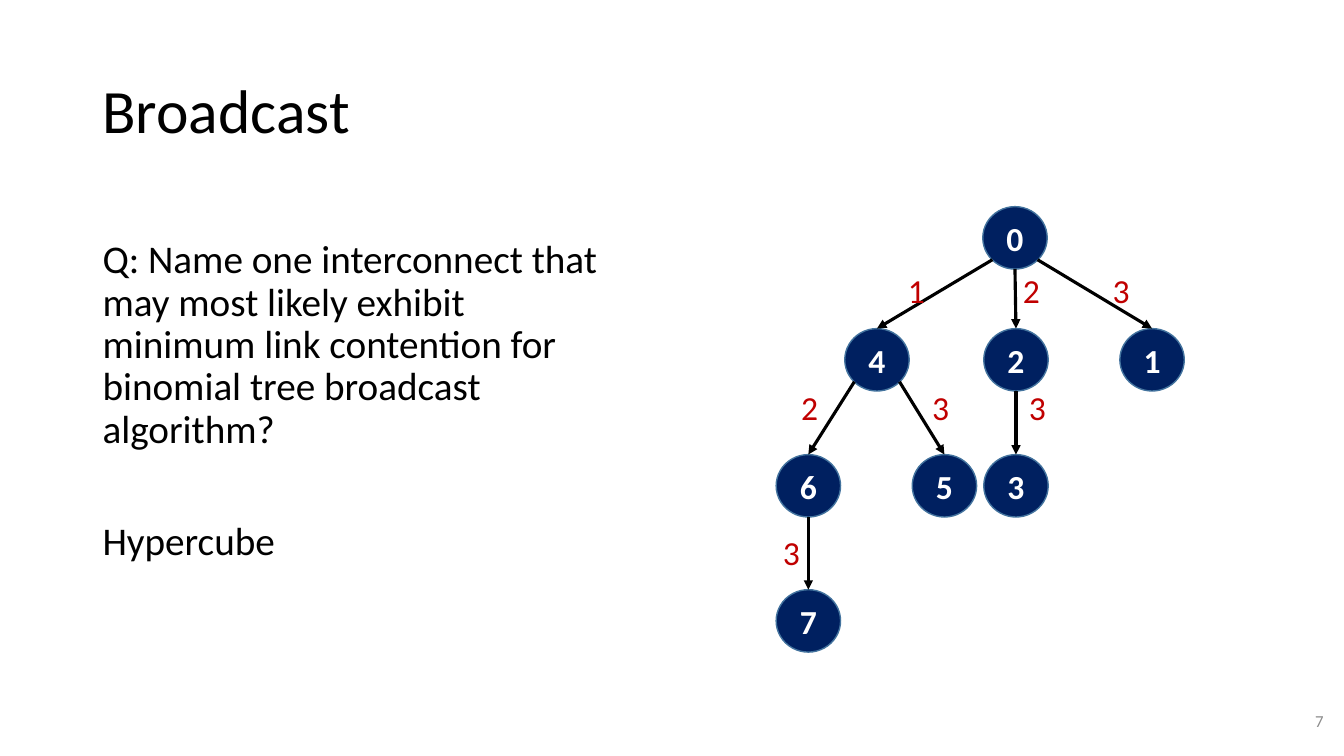
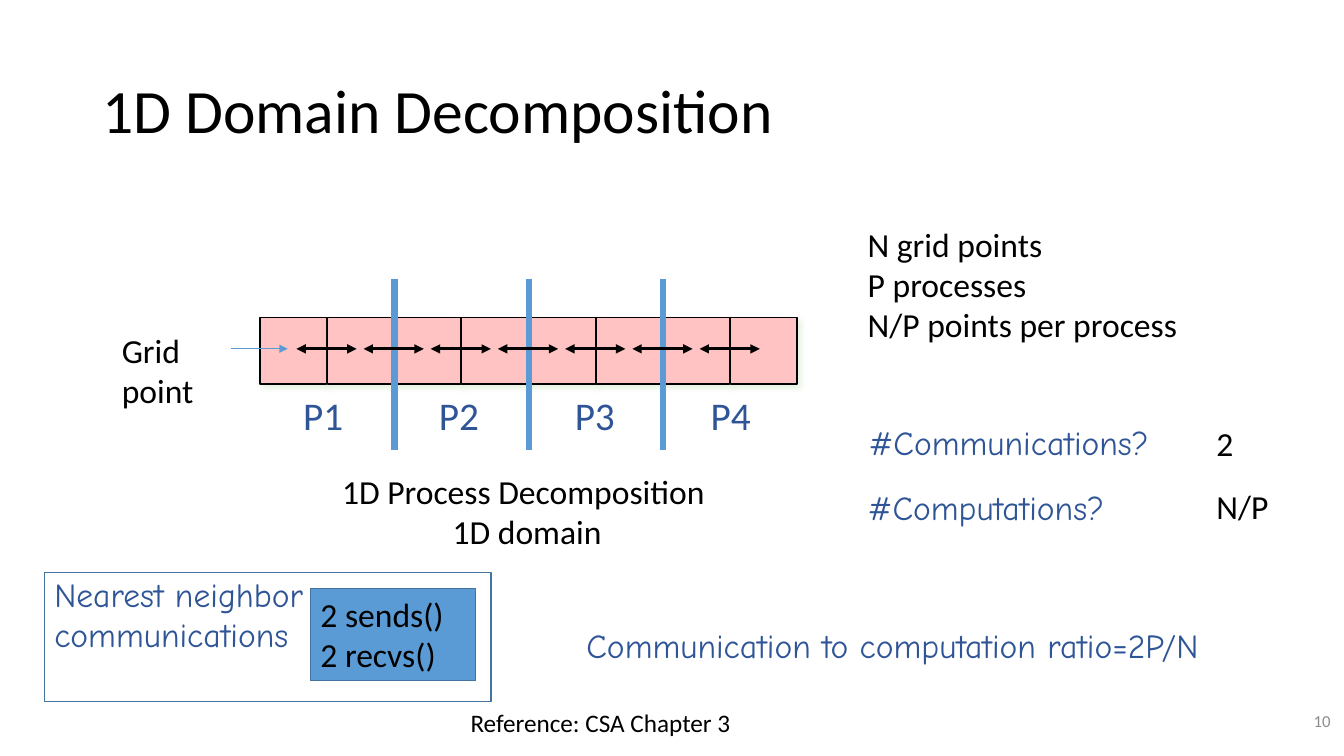
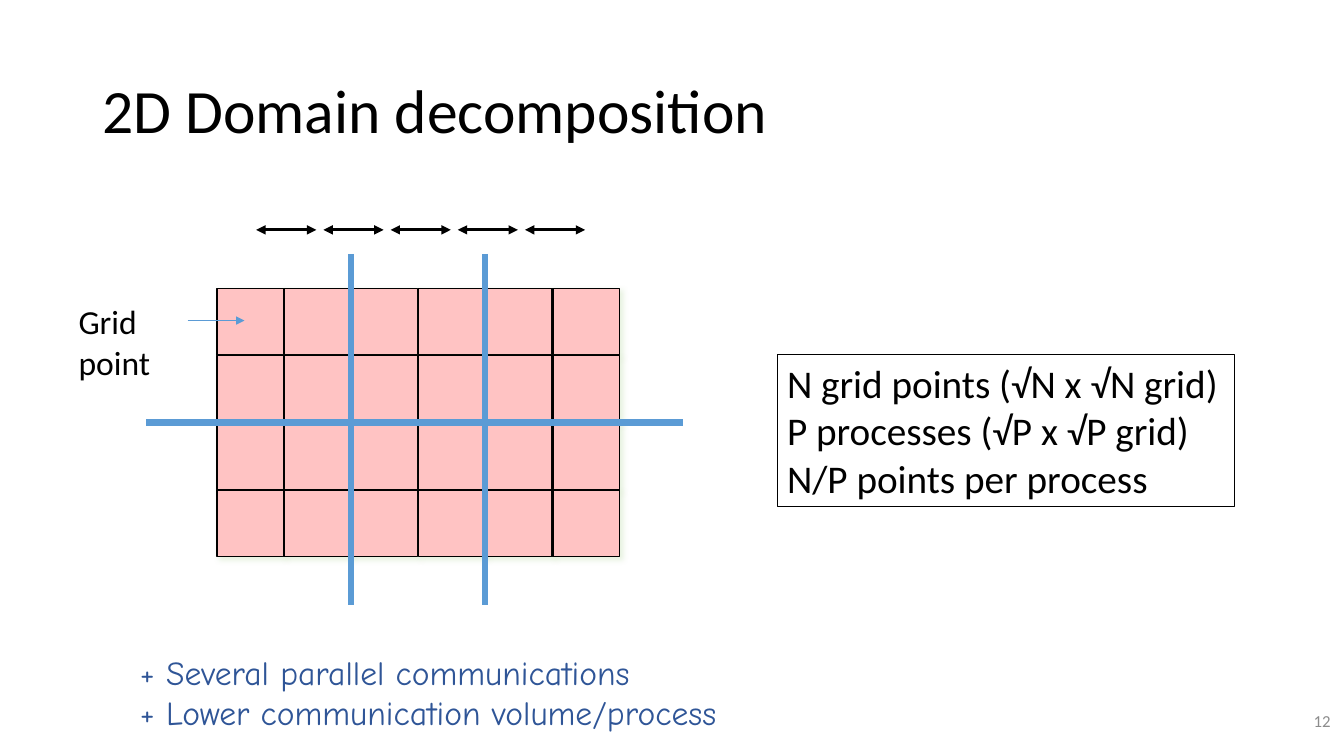
from dataclasses import dataclass
from itertools import product
from typing import NamedTuple, Optional

from lxml.etree import SubElement
from pptx import Presentation
from pptx.dml.color import RGBColor
from pptx.enum.shapes import MSO_CONNECTOR, MSO_SHAPE
from pptx.enum.text import MSO_ANCHOR, MSO_AUTO_SIZE, PP_ALIGN
from pptx.oxml.ns import qn
from pptx.shapes.autoshape import Shape
from pptx.shapes.connector import Connector
from pptx.slide import Slide
from pptx.text.text import TextFrame
from pptx.util import Pt

BLACK = RGBColor(0x00, 0x00, 0x00)
WHITE = RGBColor(0xFF, 0xFF, 0xFF)
GRAY = RGBColor(0x8C, 0x8C, 0x8C)
NAVY = RGBColor(0x00, 0x20, 0x60)
RED = RGBColor(0xC0, 0x00, 0x00)
INK_BLUE = RGBColor(0x2F, 0x55, 0x97)
SKY_BLUE = RGBColor(0x5B, 0x9B, 0xD5)
EDGE_BLUE = RGBColor(0x43, 0x73, 0x9E)
PINK = RGBColor(0xFF, 0xC3, 0xC3)

CELL_SIZE = 47.5
CELL_PITCH = 48
ARROW_LENGTH = 43
NODE_WIDTH = 46
NODE_HEIGHT = 44.6
LEVEL_TOPS = (147.6, 234.7, 324.7, 421.2)


class Box(NamedTuple):
    left: float
    top: float
    width: float
    height: float


class Point(NamedTuple):
    x: float
    y: float


@dataclass(frozen=True)
class TextStyle:
    size: float = 24
    color: RGBColor = BLACK
    font: str = "Calibri"
    bold: bool = False
    align: PP_ALIGN = PP_ALIGN.LEFT
    line_spacing: Optional[float] = None


@dataclass(frozen=True)
class Label:
    text: str
    box: Box
    style: TextStyle
    wrap: bool = False


@dataclass(frozen=True)
class Node:
    rank: int
    left: float
    level: int
    parent: Optional[int] = None
    step: int = 0
    step_at: Point = Point(0, 0)


TITLE = TextStyle(44, line_spacing=0.9)
QUESTION = TextStyle(28, line_spacing=0.9)
PLAIN = TextStyle()
CENTERED = TextStyle(align=PP_ALIGN.CENTER)
LARGE = TextStyle(28)
REFERENCE = TextStyle(18)
PAGE_NUMBER = TextStyle(12, GRAY, align=PP_ALIGN.RIGHT)
NODE_RANK = TextStyle(24, WHITE, bold=True, align=PP_ALIGN.CENTER)
STEP = TextStyle(24, RED)
PROCESS = TextStyle(28, INK_BLUE)
HANDWRITTEN = TextStyle(24, INK_BLUE, "Comic Neue")

BROADCAST_TREE = (
    Node(0, 702, 0),
    Node(4, 603.4, 1, 0, 1, Point(641.5, 189.4)),
    Node(2, 702.7, 1, 0, 2, Point(723.6, 189.4)),
    Node(1, 799.9, 1, 0, 3, Point(787.7, 189.4)),
    Node(6, 554.4, 2, 4, 2, Point(565.2, 272.9)),
    Node(5, 651.6, 2, 4, 3, Point(658.8, 272.9)),
    Node(3, 702.7, 2, 2, 3, Point(727.9, 272.9)),
    Node(7, 554.4, 3, 6, 3, Point(552.2, 376.6)),
)

LABELS_1D = (
    Label("N grid points\nP processes\nN/P points per process",
          Box(612.7, 156.2, 237.6, 94.3), PLAIN),
    Label("1D Process Decomposition \n1D domain",
          Box(185, 332.6, 383, 65.4), CENTERED, True),
    Label("Nearest neighbor communications",
          Box(31.7, 406.1, 202.3, 94.3), HANDWRITTEN, True),
    Label("#Communications?", Box(613.4, 298.1, 230.4, 36), HANDWRITTEN, True),
    Label("#Computations?", Box(612.7, 344.2, 204.5, 36), HANDWRITTEN),
    Label("Communication to computation ratio=2P/N",
          Box(411.8, 442.8, 496.8, 36), HANDWRITTEN),
    Label("2", Box(861.8, 298.8, 26.6, 36), PLAIN),
    Label("N/P", Box(861.8, 343.4, 51.8, 36), PLAIN),
    Label("Reference: CSA Chapter 3", Box(329, 501.8, 202.3, 28.8), REFERENCE),
)


def write(frame: TextFrame, text: str, style: TextStyle,
          anchor: MSO_ANCHOR = MSO_ANCHOR.TOP) -> None:
    frame.text = text
    frame.vertical_anchor = anchor
    for paragraph in frame.paragraphs:
        paragraph.alignment = style.align
        if style.line_spacing:
            paragraph.line_spacing = style.line_spacing
        font = paragraph.font
        font.name = style.font
        font.size = Pt(style.size)
        font.bold = style.bold
        font.color.rgb = style.color


def add_label(slide: Slide, label: Label, anchor: MSO_ANCHOR = MSO_ANCHOR.TOP) -> Shape:
    text_box = slide.shapes.add_textbox(*map(Pt, label.box))
    frame = text_box.text_frame
    write(frame, label.text, label.style, anchor)
    frame.word_wrap = label.wrap
    frame.auto_size = MSO_AUTO_SIZE.NONE if label.wrap else MSO_AUTO_SIZE.SHAPE_TO_FIT_TEXT
    return text_box


def add_outline(slide: Slide, preset: MSO_SHAPE, box: Box, fill: Optional[RGBColor],
                edge: RGBColor, weight: float = 1) -> Shape:
    shape = slide.shapes.add_shape(preset, *map(Pt, box))
    shape.shadow.inherit = False
    if fill is None:
        shape.fill.background()
    else:
        shape.fill.solid()
        shape.fill.fore_color.rgb = fill
    shape.line.color.rgb = edge
    shape.line.width = Pt(weight)
    return shape


def add_line(slide: Slide, start: Point, end: Point, color: RGBColor, weight: float,
             head: bool = False, tail: bool = False) -> Connector:
    line = slide.shapes.add_connector(MSO_CONNECTOR.STRAIGHT, *map(Pt, (*start, *end)))
    line.line.color.rgb = color
    line.line.width = Pt(weight)
    properties = line.line._get_or_add_ln()
    for present, tag in ((head, "a:headEnd"), (tail, "a:tailEnd")):
        if present:
            SubElement(properties, qn(tag), type="triangle")
    SubElement(line._element.spPr, qn("a:effectLst"))
    return line


def add_grid(slide: Slide, left: float, top: float, columns: int, rows: int) -> None:
    for row, column in product(range(rows), range(columns)):
        box = Box(left + column * CELL_PITCH, top + row * CELL_PITCH, CELL_SIZE, CELL_SIZE)
        cell = add_outline(slide, MSO_SHAPE.RECTANGLE, box, PINK, BLACK)
        effects = cell._element.spPr.find(qn("a:effectLst"))
        shadow = SubElement(effects, qn("a:outerShdw"), blurRad=str(Pt(4)),
                            dist=str(Pt(3)), dir="2700000", algn="tl", rotWithShape="0")
        tint = SubElement(shadow, qn("a:srgbClr"), val="C5E0B4")
        SubElement(tint, qn("a:alpha"), val="40000")


def add_grid_caption(slide: Slide, left: float, top: float) -> None:
    add_label(slide, Label("Grid point", Box(left, top, 87.1, 65.4), PLAIN, True))
    pointer_y = top + 17.3
    add_line(slide, Point(left + 85, pointer_y), Point(left + 125.6, pointer_y),
             SKY_BLUE, 0.5, tail=True)


def add_exchanges(slide: Slide, left: float, y: float, count: int) -> None:
    for index in range(count):
        x = left + index * CELL_PITCH
        add_line(slide, Point(x, y), Point(x + ARROW_LENGTH, y), BLACK, 2.25, True, True)


def add_dividers(slide: Slide, left: float, top: float, bottom: float, count: int) -> None:
    for index in range(count):
        x = left + index * 2 * CELL_PITCH
        add_line(slide, Point(x, top), Point(x, bottom), SKY_BLUE, 4.5)


def add_titled_slide(deck: Presentation, title: str, number: int, number_box: Box) -> Slide:
    slide = deck.slides.add_slide(deck.slide_layouts[5])
    heading = slide.shapes.title
    heading.left, heading.top, heading.width, heading.height = map(Pt, (66, 28.8, 828, 104.4))
    heading.text_frame.auto_size = MSO_AUTO_SIZE.NONE
    write(heading.text_frame, title, TITLE, MSO_ANCHOR.MIDDLE)
    add_label(slide, Label(str(number), number_box, PAGE_NUMBER, True), MSO_ANCHOR.MIDDLE)
    return slide


def departure(parent: Node, child: Node) -> Point:
    shift = child.left - parent.left
    top = LEVEL_TOPS[parent.level]
    if abs(shift) < 1:
        return Point(parent.left + NODE_WIDTH / 2, top + NODE_HEIGHT)
    across = 0.15 if shift < 0 else 0.85
    return Point(parent.left + NODE_WIDTH * across, top + NODE_HEIGHT * 0.85)


def add_tree(slide: Slide, nodes: tuple[Node, ...]) -> None:
    by_rank = {node.rank: node for node in nodes}
    circles: dict[int, Shape] = {}
    for node in nodes:
        box = Box(node.left, LEVEL_TOPS[node.level], NODE_WIDTH, NODE_HEIGHT)
        circle = add_outline(slide, MSO_SHAPE.OVAL, box, NAVY, EDGE_BLUE)
        write(circle.text_frame, str(node.rank), NODE_RANK, MSO_ANCHOR.MIDDLE)
        circles[node.rank] = circle
    for node in nodes:
        if node.parent is None:
            continue
        arrival = Point(node.left + NODE_WIDTH / 2, LEVEL_TOPS[node.level])
        message = add_line(slide, departure(by_rank[node.parent], node), arrival,
                           BLACK, 2.25, tail=True)
        message.end_connect(circles[node.rank], 0)
        add_label(slide, Label(str(node.step), Box(*node.step_at, 26.6, 36), STEP))


def build_broadcast(deck: Presentation) -> None:
    slide = add_titled_slide(deck, "Broadcast", 7, Box(678.2, 500.4, 274.3, 28.8))
    question = add_label(slide, Label(
        "Q: Name one interconnect that may most likely exhibit minimum link contention "
        "for binomial tree broadcast algorithm?\nHypercube",
        Box(66.2, 167.8, 378.7, 343.4), QUESTION, True))
    question.text_frame.paragraphs[1].space_before = Pt(50)
    add_tree(slide, BROADCAST_TREE)


def build_1d(deck: Presentation, number_box: Box) -> None:
    slide = add_titled_slide(deck, "1D Domain Decomposition", 10, number_box)
    add_grid(slide, 185.8, 226.8, 8, 1)
    add_grid_caption(slide, 79.9, 231.8)
    add_dividers(slide, 281.7, 199, 321.4, 3)
    add_exchanges(slide, 211.7, 249.2, 7)
    for index in range(4):
        add_label(slide, Label(f"P{index + 1}", Box(209.5 + index * 97, 275.8, 44, 41), PROCESS))
    add_outline(slide, MSO_SHAPE.RECTANGLE, Box(31.7, 409, 319, 92.2), None, EDGE_BLUE)
    calls = add_outline(slide, MSO_SHAPE.RECTANGLE, Box(221.8, 420.5, 118.1, 65.5),
                        SKY_BLUE, EDGE_BLUE)
    write(calls.text_frame, "2 sends()\n2 recvs()", PLAIN)
    for label in LABELS_1D:
        add_label(slide, label)


def build_2d(deck: Presentation, number_box: Box) -> None:
    slide = add_titled_slide(deck, "2D Domain decomposition", 12, number_box)
    add_grid(slide, 154.9, 206, 6, 4)
    add_grid_caption(slide, 49, 211.7)
    add_dividers(slide, 250.7, 181.4, 432, 2)
    add_line(slide, Point(104.4, 301.7), Point(488.2, 301.7), SKY_BLUE, 4.5)
    add_exchanges(slide, 183, 164.2, 5)
    sizes = add_outline(slide, MSO_SHAPE.RECTANGLE, Box(555.1, 253.4, 326.9, 108.7),
                        None, BLACK, 0.75)
    write(sizes.text_frame, "N grid points (√N x √N grid)\nP processes (√P x √P grid)\n"
          "N/P points per process", LARGE)
    add_label(slide, Label(
        "+ Several parallel communications\n+ Lower communication volume/process",
        Box(92.9, 462.2, 453.6, 65.5), HANDWRITTEN))


def main() -> None:
    deck = Presentation()
    deck.slide_width, deck.slide_height = Pt(960), Pt(540)
    number_box = Box(741.6, 500.4, 216, 28.8)
    build_broadcast(deck)
    build_1d(deck, number_box)
    build_2d(deck, number_box)
    deck.save("out.pptx")


if __name__ == "__main__":
    main()
